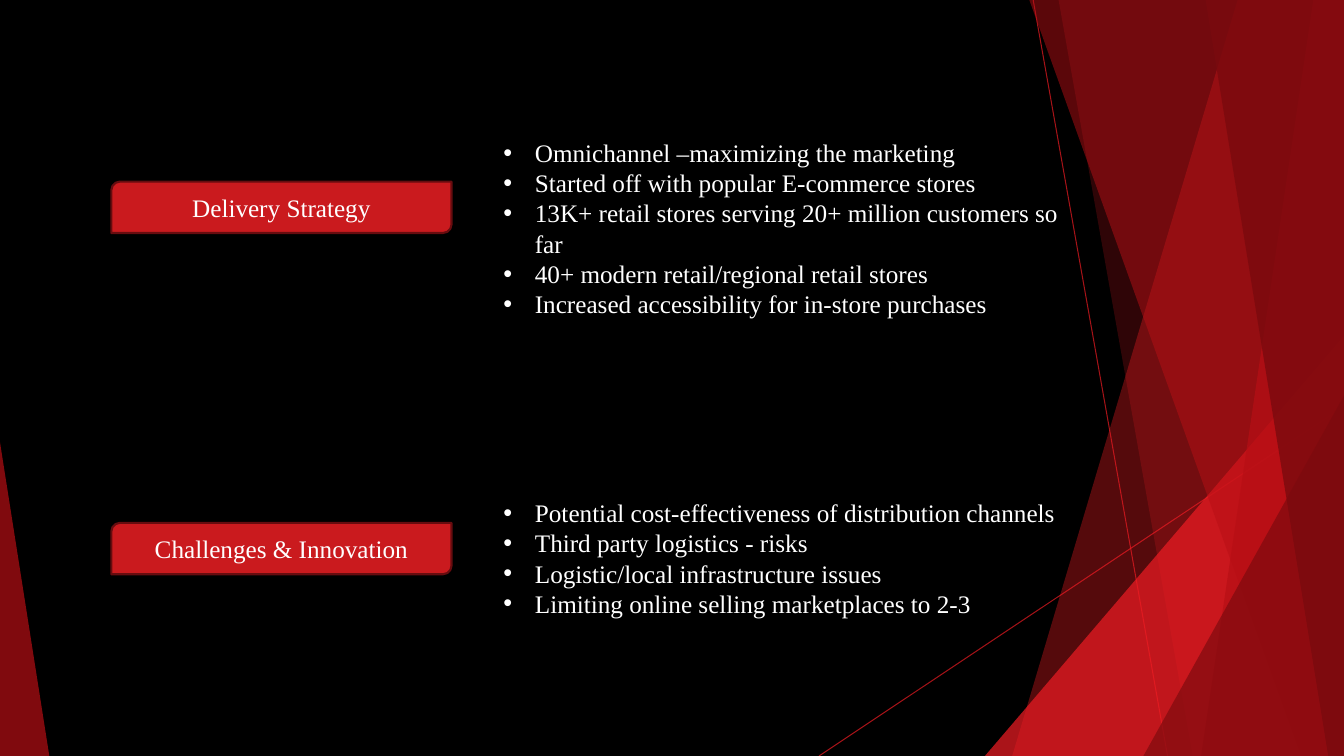
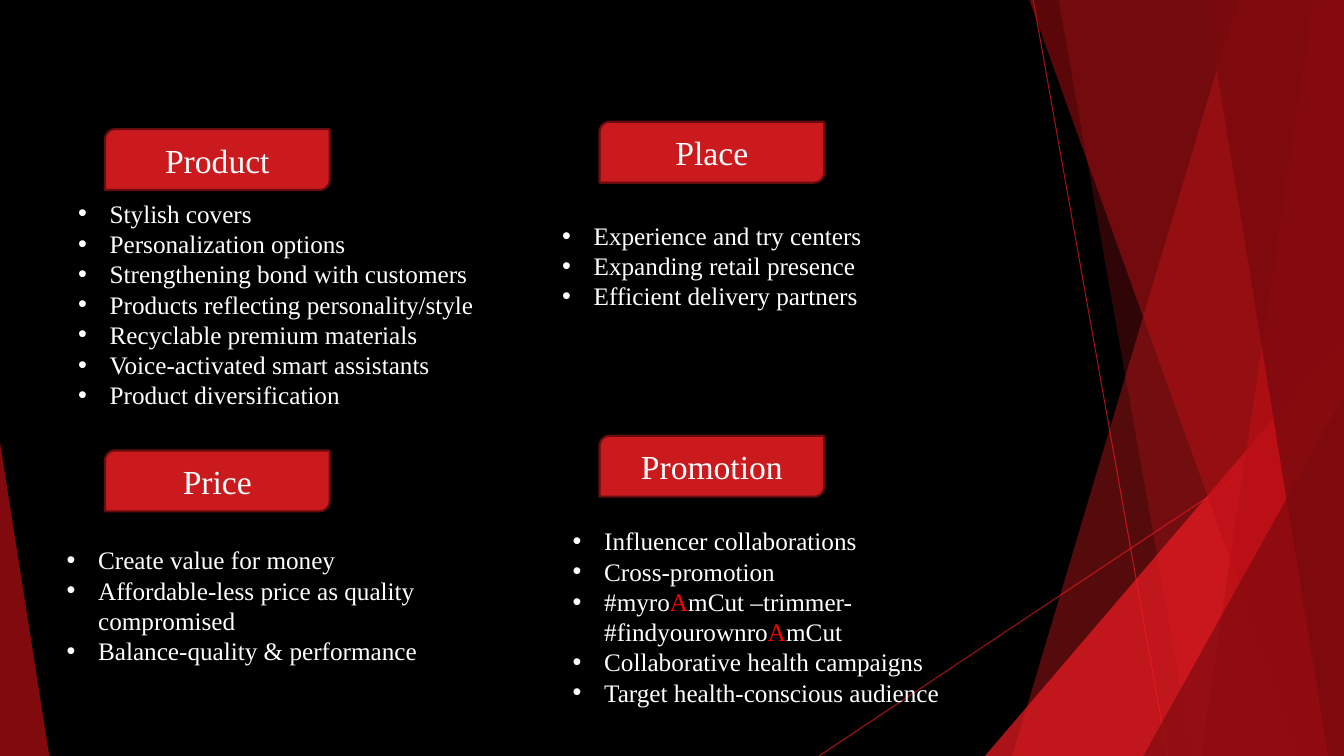
from dataclasses import dataclass

from lxml.etree import SubElement
from pptx import Presentation
from pptx.dml.color import RGBColor
from pptx.enum.shapes import MSO_CONNECTOR, MSO_SHAPE
from pptx.enum.text import MSO_ANCHOR, MSO_AUTO_SIZE, PP_ALIGN
from pptx.oxml.ns import qn
from pptx.slide import Slide, SlideLayout
from pptx.util import Pt

EMU_PER_PX = 9525
SLIDE_WIDTH, SLIDE_HEIGHT = 1280, 720
BULLET_INDENT = 30

BLACK, WHITE = "000000", "FFFFFF"
BRIGHT_RED, MID_RED, DARK_RED = "EC1C23", "B70F15", "7A0A0E"
BADGE_FILL, BADGE_LINE = "CA1A1E", "670C0F"
HIGHLIGHT = "FF0000"

FONT_FORMAT = {"name": "Times New Roman", "bold": False, "italic": False}
BADGE_FRAME = {"vertical_anchor": MSO_ANCHOR.MIDDLE, "word_wrap": True}
LIST_FRAME = {"auto_size": MSO_AUTO_SIZE.SHAPE_TO_FIT_TEXT, "word_wrap": True}


@dataclass(frozen=True)
class Ray:
    start: tuple[int, int]
    end: tuple[int, int]


@dataclass(frozen=True)
class Blade:
    """A slanted band that reaches from its left edge to the slide's right edge."""
    top_x: int
    bottom_x: int
    color: str
    opacity: int


@dataclass(frozen=True)
class Corner:
    """A triangle; peak is the place of its tip along the width, from 0 to 1."""
    left: int
    top: int
    width: int
    height: int
    peak: int
    color: str
    opacity: int


@dataclass(frozen=True)
class Badge:
    label: str
    left: int
    top: int


@dataclass(frozen=True)
class BulletList:
    """Text between bars is highlighted."""
    left: int
    top: int
    width: int
    height: int
    items: tuple[str, ...]


@dataclass(frozen=True)
class SlideContent:
    badge_width: int
    badge_height: int
    badge_size: int
    badges: tuple[Badge, ...]
    lists: tuple[BulletList, ...]


DECORATION = (
    Ray((984, 0), (1112, 720)),
    Ray((1280, 387), (780, 720)),
    Blade(1179, 964, BRIGHT_RED, 36),
    Blade(1008, 1136, BRIGHT_RED, 20),
    Corner(938, 320, 342, 400, 1, BRIGHT_RED, 72),
    Blade(980, 1239, MID_RED, 50),
    Blade(1251, 1144, MID_RED, 70),
    Blade(1148, 1265, DARK_RED, 80),
    Corner(1089, 377, 191, 343, 1, DARK_RED, 66),
    Corner(0, 421, 47, 299, 0, MID_RED, 70),
)

CONTENTS = (
    SlideContent(
        324, 49, 18,
        (Badge("Delivery Strategy", 106, 173), Badge("Challenges & Innovation", 106, 498)),
        (
            BulletList(470, 126, 567, 184, (
                "Omnichannel –maximizing the marketing",
                "Started off with popular E-commerce stores",
                "13K+ retail stores serving 20+ million customers so far",
                "40+ modern retail/regional retail stores",
                "Increased accessibility for in-store purchases",
            )),
            BulletList(470, 469, 640, 156, (
                "Potential cost-effectiveness of distribution channels",
                "Third party logistics - risks",
                "Logistic/local infrastructure issues",
                "Limiting online selling marketplaces to 2-3",
            )),
        ),
    ),
    SlideContent(
        214, 58, 24,
        (
            Badge("Product", 100, 123),
            Badge("Place", 571, 116),
            Badge("Promotion", 571, 415),
            Badge("Price", 100, 429),
        ),
        (
            BulletList(65, 184, 640, 213, (
                "Stylish covers",
                "Personalization options",
                "Strengthening bond with customers",
                "Products reflecting personality/style",
                "Recyclable premium materials",
                "Voice-activated smart assistants",
                "Product diversification",
            )),
            BulletList(526, 205, 640, 97, (
                "Experience and try centers",
                "Expanding retail presence",
                "Efficient delivery partners",
            )),
            BulletList(536, 496, 501, 156, (
                "Influencer collaborations",
                "Cross-promotion",
                "#myro|A|mCut –trimmer- #findyourownro|A|mCut",
                "Collaborative health campaigns",
                "Target health-conscious audience",
            )),
            BulletList(54, 514, 473, 97, (
                "Create value for money",
                "Affordable-less price as quality compromised",
                "Balance-quality & performance",
            )),
        ),
    ),
)


def px(*lengths: int) -> list[int]:
    return [length * EMU_PER_PX for length in lengths]


def set_color(color_owner, color: str, opacity: int = 100) -> None:
    """Paint a solid fill, opaque unless an opacity in percent is given."""
    color_owner.solid()
    color_owner.fore_color.rgb = RGBColor.from_string(color)
    if opacity < 100:
        color_element = next(color_owner._xPr.iter(qn("a:srgbClr")))
        SubElement(color_element, qn("a:alpha"), val=str(opacity * 1000))


def set_format(target, values: dict) -> None:
    for name, value in values.items():
        setattr(target, name, value)


def add_run(paragraph, text: str, size: int, color: str = WHITE) -> None:
    run = paragraph.add_run()
    run.text = text
    set_format(run.font, {**FONT_FORMAT, "size": Pt(size)})
    set_color(run.font.fill, color)


def add_ray(slide: Slide, ray: Ray):
    connector = slide.shapes.add_connector(MSO_CONNECTOR.STRAIGHT, *px(*ray.start, *ray.end))
    connector.line.width = Pt(0.75)
    set_color(connector.line.fill, BRIGHT_RED, 70)
    SubElement(connector.element.spPr, qn("a:effectLst"))
    return connector


def finish_facet(shape, facet: Blade | Corner) -> None:
    shape.shadow.inherit = False
    shape.line.fill.background()
    set_color(shape.fill, facet.color, facet.opacity)


def add_blade(slide: Slide, blade: Blade):
    builder = slide.shapes.build_freeform(blade.top_x, -1, scale=float(EMU_PER_PX))
    builder.add_line_segments(
        [(SLIDE_WIDTH, -1), (SLIDE_WIDTH, SLIDE_HEIGHT), (blade.bottom_x, SLIDE_HEIGHT)]
    )
    shape = builder.convert_to_shape()
    finish_facet(shape, blade)
    return shape


def add_corner(slide: Slide, corner: Corner):
    shape = slide.shapes.add_shape(
        MSO_SHAPE.ISOSCELES_TRIANGLE,
        *px(corner.left, corner.top, corner.width, corner.height),
    )
    shape.adjustments[0] = corner.peak
    finish_facet(shape, corner)
    return shape


def decorate_layout(layout: SlideLayout, slide: Slide) -> None:
    """Draw the decoration on a slide and move it to the layout that all slides share."""
    set_color(layout.background.fill, BLACK)
    for placeholder in list(layout.placeholders):
        layout.shapes.element.remove(placeholder.element)
    painters = {Ray: add_ray, Blade: add_blade, Corner: add_corner}
    for item in DECORATION:
        shape = painters[type(item)](slide, item)
        layout.shapes.element.append(shape.element)


def add_badge(slide: Slide, badge: Badge, content: SlideContent) -> None:
    shape = slide.shapes.add_shape(
        MSO_SHAPE.ROUND_2_DIAG_RECTANGLE,
        *px(badge.left, badge.top, content.badge_width, content.badge_height),
    )
    shape.shadow.inherit = False
    set_color(shape.fill, BADGE_FILL)
    set_color(shape.line.fill, BADGE_LINE)
    shape.line.width = Pt(1.5)
    set_format(shape.text_frame, BADGE_FRAME)
    paragraph = shape.text_frame.paragraphs[0]
    paragraph.alignment = PP_ALIGN.CENTER
    add_run(paragraph, badge.label, content.badge_size)


def add_bullet(paragraph) -> None:
    properties = paragraph._p.get_or_add_pPr()
    indent = px(BULLET_INDENT)[0]
    properties.set("marL", str(indent))
    properties.set("indent", str(-indent))
    SubElement(properties, qn("a:buFont"), typeface="Arial")
    SubElement(properties, qn("a:buChar"), char="•")


def add_bullet_list(slide: Slide, bullet_list: BulletList) -> None:
    box = slide.shapes.add_textbox(
        *px(bullet_list.left, bullet_list.top, bullet_list.width, bullet_list.height)
    )
    frame = box.text_frame
    set_format(frame, LIST_FRAME)
    for index, item in enumerate(bullet_list.items):
        paragraph = frame.add_paragraph() if index else frame.paragraphs[0]
        add_bullet(paragraph)
        for part_index, part in enumerate(item.split("|")):
            add_run(paragraph, part, 18, HIGHLIGHT if part_index % 2 else WHITE)


def main() -> None:
    presentation = Presentation()
    presentation.slide_width, presentation.slide_height = px(SLIDE_WIDTH, SLIDE_HEIGHT)
    layout = presentation.slide_layouts.get_by_name("Blank")
    slides = [presentation.slides.add_slide(layout) for _ in CONTENTS]
    decorate_layout(layout, slides[0])
    for slide, content in zip(slides, CONTENTS):
        for bullet_list in content.lists:
            add_bullet_list(slide, bullet_list)
        for badge in content.badges:
            add_badge(slide, badge, content)
    presentation.save("out.pptx")


if __name__ == "__main__":
    main()
